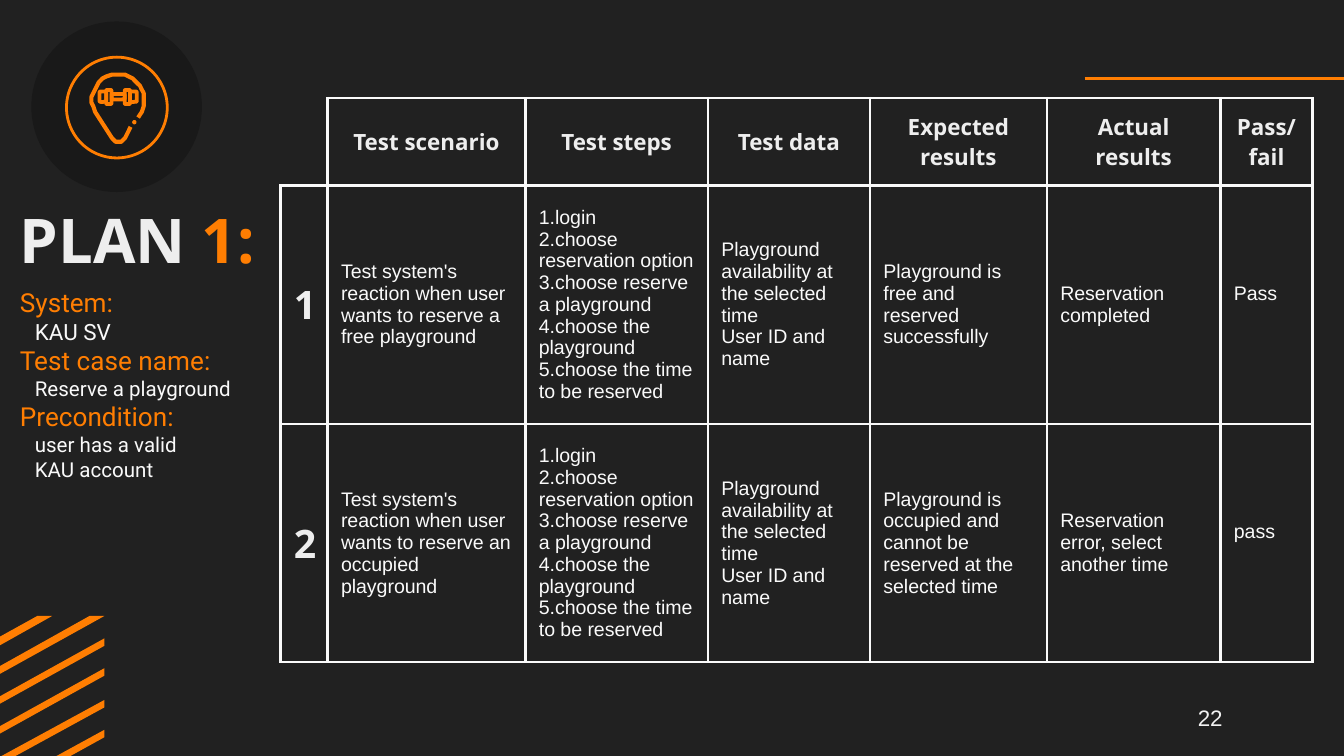
"""Build the test plan slide: a test case table beside its system details."""
from math import cos, radians, sin

from pptx import Presentation
from pptx.dml.color import RGBColor
from pptx.enum.shapes import MSO_CONNECTOR, MSO_SHAPE
from pptx.enum.text import MSO_ANCHOR, PP_ALIGN
from pptx.oxml.ns import qn
from pptx.util import Pt
from lxml.etree import SubElement

ORANGE = RGBColor(0xFF, 0x7E, 0x02)
DARK = RGBColor(0x21, 0x21, 0x21)
DISC = RGBColor(0x19, 0x19, 0x19)
LIGHT = RGBColor(0xEE, 0xEE, 0xEE)
WHITE = RGBColor(0xFA, 0xFA, 0xFA)
PAGE_GREY = RGBColor(0xF2, 0xF2, 0xF2)

TITLE = [("PLAN ", LIGHT), ("1:", ORANGE)]
DETAILS = [
    ("System:", 14),
    ("KAU SV", 12),
    ("Test case name:", 14),
    ("Reserve a playground", 11),
    ("Precondition:", 14),
    ("user has a valid", 11),
    ("KAU account", 11),
]
STEPS = [
    "1.login",
    "2.choose reservation option",
    "3.choose reserve a playground",
    "4.choose the playground",
    "5.choose the time to be reserved",
]
TEST_DATA = ["Playground availability at the selected time", "User ID and name"]
HEADINGS = ["", "Test scenario", "Test steps", "Test data",
            "Expected results", "Actual results", "Pass/fail"]
CASES = [
    ["1", "Test system's reaction when user wants to reserve a free playground",
     STEPS, TEST_DATA, "Playground is free and reserved successfully",
     "Reservation completed", "Pass"],
    ["2", "Test system's reaction when user wants to reserve an occupied playground",
     STEPS, TEST_DATA,
     "Playground is occupied and cannot be reserved at the selected time",
     "Reservation error, select another time", "pass"],
]
COLUMN_WIDTHS = [25.2, 106, 97.8, 86.8, 94.8, 93, 49.3]
ROW_HEIGHTS = [46.8, 119.2, 119.2]
STRIPE_OFFSETS = [5, 20.4, 35.8, 51, 67, 83, 99.5, 116, 132.5, 149]
DUMBBELL_HALF = [(53.3, 49, 3.6, 5.6), (56.9, 48.2, 2.9, 7.6)]
DUMBBELL_HANDLE = (59.8, 50.4, 7, 2.9)
DUMBBELL_CENTRE = 63.3


def write(frame, lines, *, size=10.5, color=WHITE, font="Arial", bold=False,
          align=PP_ALIGN.LEFT, anchor=MSO_ANCHOR.TOP):
    """Fill a frame; a line is a text or a list of (text, format) runs."""
    frame.word_wrap = True
    frame.vertical_anchor = anchor
    for number, line in enumerate(lines):
        paragraph = frame.add_paragraph() if number else frame.paragraphs[0]
        paragraph.alignment = align
        for text, own in [(line, {})] if isinstance(line, str) else line:
            run = paragraph.add_run()
            run.text = text
            run.font.name = font
            run.font.bold = bold
            run.font.size = Pt(own.get("size", size))
            run.font.color.rgb = own.get("color", color)


def add_frame(slide, left, top, width, height):
    frame = slide.shapes.add_textbox(Pt(left), Pt(top), Pt(width), Pt(height)).text_frame
    frame.margin_left = frame.margin_right = Pt(7.2)
    frame.margin_top = frame.margin_bottom = Pt(7.2)
    return frame


def paint(shape, fill=None, line=None, weight=1.5):
    shape.shadow.inherit = False
    if fill is None:
        shape.fill.background()
    else:
        shape.fill.solid()
        shape.fill.fore_color.rgb = fill
    if line is None:
        shape.line.fill.background()
    else:
        shape.line.color.rgb = line
        shape.line.width = Pt(weight)


def add_preset(slide, kind, box, **look):
    shape = slide.shapes.add_shape(kind, *map(Pt, box))
    paint(shape, **look)


def draw_outlines(slide, outlines, close, **look):
    start, *rest = outlines[0]
    builder = slide.shapes.build_freeform(*start, scale=Pt(1))
    builder.add_line_segments(rest, close=close)
    for start, *rest in outlines[1:]:
        builder.move_to(*start)
        builder.add_line_segments(rest, close=close)
    paint(builder.convert_to_shape(), **look)


def add_stripes(slide):
    left, top, side, slope, thickness = -45.4, 330.5, 101.5, 0.546, 4.4

    def edge(offset):
        low = (0, offset) if offset <= side else ((offset - side) / slope, side)
        rise = slope * side
        high = (offset / slope, 0) if offset <= rise else (side, offset - rise)
        return [(left + x, top + y) for x, y in (low, high)]

    stripes = [edge(offset) + edge(offset + thickness)[::-1] for offset in STRIPE_OFFSETS]
    draw_outlines(slide, stripes, True, fill=ORANGE)


def arc(x, y, radius, first, last, step):
    return [(x + radius * cos(radians(angle)), y + radius * sin(radians(angle)))
            for angle in range(first, last + step, step)]


def add_icon(slide):
    add_preset(slide, MSO_SHAPE.OVAL, (16.8, 11.5, 91.4, 91.4), fill=DISC)
    add_preset(slide, MSO_SHAPE.OVAL, (35.6, 30.6, 54, 54), line=ORANGE)
    pin = [(73.5, 62.6), *arc(63.3, 53.6, 14, 25, -205, -10),
           *arc(63.3, 72, 3.8, 150, 30, -20), (70.5, 68.5)]
    draw_outlines(slide, [pin], False, line=ORANGE, weight=2.2)
    add_preset(slide, MSO_SHAPE.OVAL, (71.2, 64.7, 1.6, 1.6), fill=ORANGE, line=ORANGE, weight=0.75)
    mirrored = [(2 * DUMBBELL_CENTRE - x - width, y, width, height)
                for x, y, width, height in DUMBBELL_HALF]
    for box in DUMBBELL_HALF + mirrored + [DUMBBELL_HANDLE]:
        add_preset(slide, MSO_SHAPE.ROUNDED_RECTANGLE, box, line=ORANGE, weight=2)


def set_borders(cell, visible):
    properties = cell._tc.get_or_add_tcPr()
    for side in "LRTB":
        border = SubElement(properties, qn(f"a:ln{side}"), w=str(Pt(1.5)))
        if side in visible:
            fill = SubElement(border, qn("a:solidFill"))
            SubElement(fill, qn("a:srgbClr"), val=str(WHITE))
        else:
            SubElement(border, qn("a:noFill"))


def add_cases(slide):
    rows = [HEADINGS] + CASES
    table = slide.shapes.add_table(
        len(rows), len(HEADINGS), Pt(150.3), Pt(52.5),
        Pt(sum(COLUMN_WIDTHS)), Pt(sum(ROW_HEIGHTS))).table
    table.first_row = table.horz_banding = False
    for column, width in zip(table.columns, COLUMN_WIDTHS):
        column.width = Pt(width)
    for r, (row, height) in enumerate(zip(rows, ROW_HEIGHTS)):
        table.rows[r].height = Pt(height)
        for c, content in enumerate(row):
            cell = table.cell(r, c)
            set_borders(cell, "LRTB" if r or c else "RB")
            cell.fill.background()
            cell.margin_left = cell.margin_right = Pt(7.2)
            cell.margin_top = cell.margin_bottom = Pt(7.2)
            cell.vertical_anchor = MSO_ANCHOR.MIDDLE
            if r and c == len(row) - 1:
                cell.margin_bottom = Pt(19)
            look = {}
            if r == 0 or c == 0:
                look = dict(size=21 if r else 12, color=LIGHT, font="Open Sans",
                            bold=True, align=PP_ALIGN.CENTER)
            if content:
                lines = [content] if isinstance(content, str) else content
                write(cell.text_frame, lines, anchor=MSO_ANCHOR.MIDDLE, **look)


def main():
    deck = Presentation()
    deck.slide_width, deck.slide_height = Pt(720), Pt(405)
    slide = deck.slides.add_slide(deck.slide_layouts[6])
    slide.background.fill.solid()
    slide.background.fill.fore_color.rgb = DARK

    add_stripes(slide)
    rule = slide.shapes.add_connector(MSO_CONNECTOR.STRAIGHT, Pt(581), Pt(42), Pt(720), Pt(42))
    rule.line.color.rgb = ORANGE
    rule.line.width = Pt(1.5)
    SubElement(rule._element.spPr, qn("a:effectLst"))

    write(add_frame(slide, 3.6, 100.8, 460.8, 49),
          [[(text, {"color": color}) for text, color in TITLE]],
          size=33, font="Open Sans", bold=True)
    add_cases(slide)
    add_icon(slide)

    details = add_frame(slide, 3.6, 146.2, 146.9, 123)
    write(details, [[(text, {"size": size, "color": ORANGE if size == 14 else WHITE})]
                    for text, size in DETAILS], font="Roboto")
    for paragraph, (_, size) in zip(details.paragraphs, DETAILS):
        if size < 14:
            paragraph._p.get_or_add_pPr().set("marL", str(Pt(8)))

    write(add_frame(slide, 627.1, 373.7, 42.5, 21.6), ["22"], size=12, color=PAGE_GREY,
          align=PP_ALIGN.CENTER, anchor=MSO_ANCHOR.MIDDLE)
    deck.save("out.pptx")


if __name__ == "__main__":
    main()
